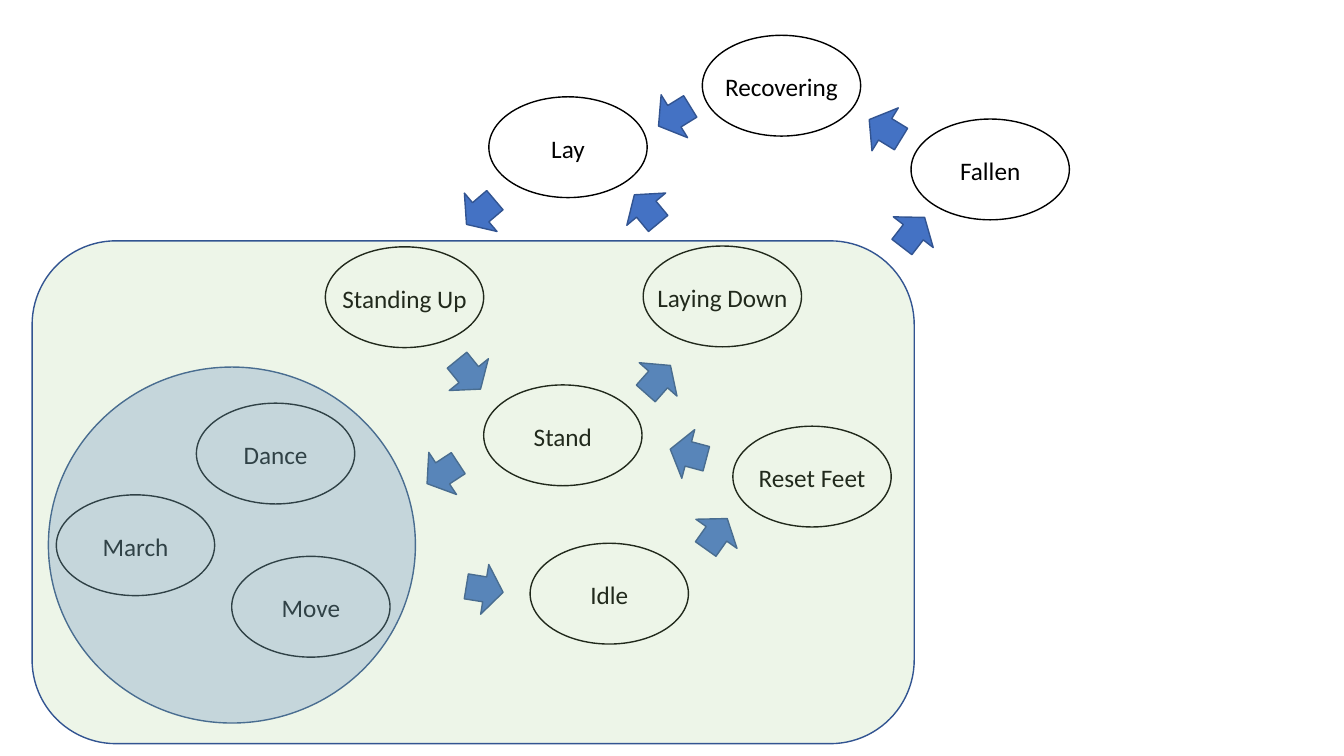
from dataclasses import dataclass

from lxml.etree import SubElement
from pptx import Presentation
from pptx.dml.color import RGBColor
from pptx.enum.shapes import MSO_SHAPE as Preset
from pptx.enum.text import MSO_AUTO_SIZE as AutoSize, PP_ALIGN as Align
from pptx.oxml.ns import qn
from pptx.util import Cm, Pt


@dataclass(frozen=True)
class Theme:
    font: str = "Calibri"
    label_size: int = 18
    line_width: int = 1
    ink: str = "000000"
    paper: str = "FFFFFF"
    blue: str = "4472C4"
    blue_line: str = "325491"
    green: str = "A9D18E"


THEME = Theme()
SLIDE_SIZE = (33.87, 19.05)
STATE_SIZE = (3.99, 2.54)
LABEL_OFFSET, LABEL_HEIGHT = 0.79, 1.02
ARROW_SIZE = (1.27, 0.94)

STATES = [
    ("Lay", 12.32, 2.44),
    ("Stand", 12.19, 9.7),
    ("Move", 5.84, 14.02),
    ("Idle", 13.36, 13.69),
    ("Dance", 4.95, 10.16),
    ("March", 1.42, 12.47),
    ("Recovering", 17.7, 0.89),
    ("Fallen", 22.96, 3),
    ("Laying Down", 16.21, 6.2),
    ("Standing Up", 8.2, 6.22),
    ("Reset Feet", 18.47, 10.74),
]

TRANSITIONS = [
    (11.48, 4.88, 49.6),
    (11.18, 8.97, 320.9),
    (10.52, 11.46, 56.7),
    (11.58, 14.38, 279.2),
    (15.95, 9.09, 221.5),
    (15.65, 4.8, 140.3),
    (17.42, 12.98, 215.3),
    (16.71, 10.97, 104.9),
    (21.67, 2.79, 121.5),
    (16.36, 2.46, 58.3),
]
FALL_TRANSITION = (22.38, 5.38, 217.6)

REGIONS = [
    (Preset.OVAL, (1.22, 9.25, 9.25, 8.97), THEME.blue, 27),
    (Preset.ROUNDED_RECTANGLE, (0.81, 6.07, 22.23, 12.67), THEME.green, 20),
]


def add_outline(shapes, preset, box, fill, line, opacity=100):
    shape = shapes.add_shape(preset, *map(Cm, box))
    shape.shadow.inherit = False
    shape.fill.solid()
    shape.fill.fore_color.rgb = RGBColor.from_string(fill)
    shape.line.color.rgb = RGBColor.from_string(line)
    shape.line.width = Pt(THEME.line_width)
    if opacity < 100:
        color = shape.fill._xPr.find(qn("a:solidFill"))[0]
        SubElement(color, qn("a:alpha"), val=str(opacity * 1000))
    return shape


def add_state(slide, name, left, top):
    width, height = STATE_SIZE
    shapes = slide.shapes.add_group_shape().shapes
    add_outline(shapes, Preset.OVAL, (left, top, width, height), THEME.paper, THEME.ink)
    label = shapes.add_textbox(Cm(left), Cm(top + LABEL_OFFSET), Cm(width), Cm(LABEL_HEIGHT))
    frame = label.text_frame
    frame.word_wrap = True
    frame.auto_size = AutoSize.SHAPE_TO_FIT_TEXT
    paragraph = frame.paragraphs[0]
    paragraph.alignment = Align.CENTER
    run = paragraph.add_run()
    run.text = name
    run.font.name = THEME.font
    run.font.size = Pt(THEME.label_size)
    run.font.color.rgb = RGBColor.from_string(THEME.ink)


def add_transition(slide, left, top, angle):
    arrow = add_outline(slide.shapes, Preset.DOWN_ARROW, (left, top, *ARROW_SIZE),
                        THEME.blue, THEME.blue_line)
    arrow.rotation = angle


def main():
    presentation = Presentation()
    presentation.slide_width, presentation.slide_height = map(Cm, SLIDE_SIZE)
    slide = presentation.slides.add_slide(presentation.slide_layouts[6])
    for state in STATES:
        add_state(slide, *state)
    for transition in TRANSITIONS:
        add_transition(slide, *transition)
    for preset, box, fill, opacity in REGIONS:
        add_outline(slide.shapes, preset, box, fill, THEME.blue_line, opacity)
    add_transition(slide, *FALL_TRANSITION)
    presentation.save("out.pptx")


if __name__ == "__main__":
    main()
